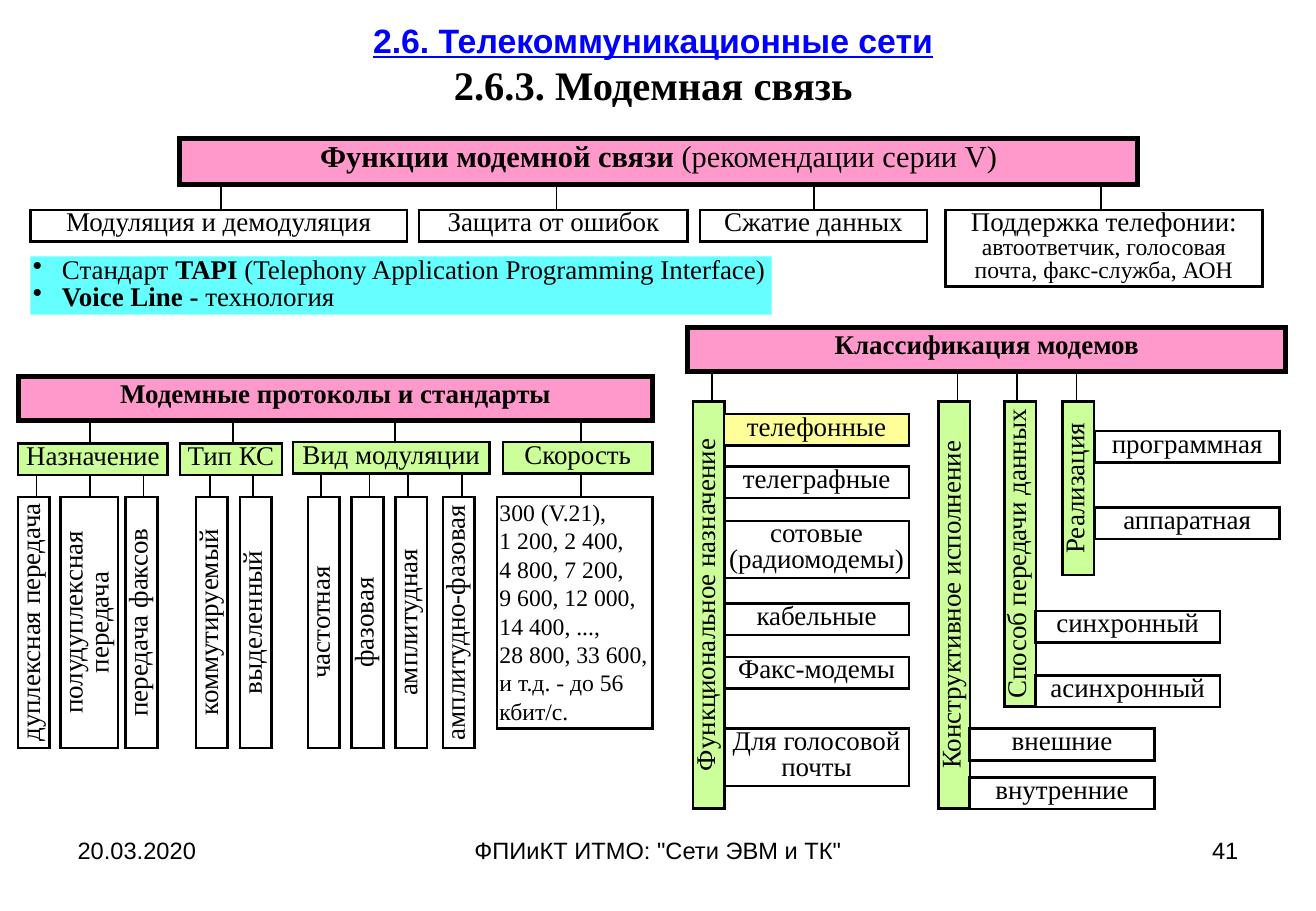
"""Build the slide on modem communication: functions, protocols and classification."""
import pptx
import pptx.dml.color
import pptx.enum.shapes
import pptx.enum.text
import pptx.util
from lxml import etree

GRID = pptx.util.Inches(0.1)
SERIF, SANS = "Times New Roman", "Arial"
PINK, GREEN, YELLOW, CYAN = "FF99CC", "CCFF99", "FFFF99", "66FFFF"
ROW = 2.6
DOUBLE_ROW = 4.7
LEFT, CENTER, RIGHT = (pptx.enum.text.PP_ALIGN.LEFT, pptx.enum.text.PP_ALIGN.CENTER,
                       pptx.enum.text.PP_ALIGN.RIGHT)
color = pptx.dml.color.RGBColor.from_string

presentation = pptx.Presentation()
presentation.slide_width = pptx.util.Inches(10.83)
presentation.slide_height = pptx.util.Inches(7.5)
slide = presentation.slides.add_slide(presentation.slide_layouts[5])


def write(frame, text, size=16, align=CENTER, spacing=0.8, font=SERIF):
    """Fill a frame line by line; text between asterisks is bold."""
    frame.word_wrap = True
    for number, line in enumerate(text.split("\n")):
        paragraph = frame.add_paragraph() if number else frame.paragraphs[0]
        paragraph.alignment = align
        paragraph.line_spacing = spacing
        for position, part in enumerate(line.split("*")):
            if part:
                run = paragraph.add_run()
                run.text = part
                run.font.name = font
                run.font.size = pptx.util.Pt(size)
                run.font.bold = position % 2 == 1
                run.font.color.rgb = color("000000")


def box(left, top, width, height, text, fill=None, edge=1.5, upright=False, **style):
    """Draw a rectangle at grid columns and rows, with upright text if asked."""
    center_x, center_y = left + width / 2, top + height / 2
    if upright:
        width, height = height, width
    shape = slide.shapes.add_shape(
        pptx.enum.shapes.MSO_SHAPE.RECTANGLE,
        int((center_x - width / 2) * GRID), int((center_y - height / 2) * GRID),
        int(width * GRID), int(height * GRID))
    shape.rotation = 270 if upright else 0
    shape.shadow.inherit = False
    if fill:
        shape.fill.solid()
        shape.fill.fore_color.rgb = color(fill)
    else:
        shape.fill.background()
    if edge:
        shape.line.color.rgb = color("000000")
        shape.line.width = pptx.util.Pt(edge)
        outline = shape._element.spPr.find(pptx.oxml.ns.qn("a:ln"))
        etree.SubElement(outline, pptx.oxml.ns.qn("a:miter")).set("lim", "800000")
    else:
        shape.line.fill.background()
    frame = shape.text_frame
    frame.vertical_anchor = pptx.enum.text.MSO_ANCHOR.TOP
    frame.auto_size = pptx.enum.text.MSO_AUTO_SIZE.SHAPE_TO_FIT_TEXT
    if edge < 3:
        frame.margin_left = frame.margin_right = pptx.util.Inches(0.02)
        frame.margin_top = frame.margin_bottom = pptx.util.Inches(0.01)
    write(frame, text, **style)
    return shape


title = slide.shapes.title
title.left, title.top = int(1.4 * GRID), int(0.6 * GRID)
title.width, title.height = int(104.7 * GRID), int(9.4 * GRID)
title.text_frame.auto_size = pptx.enum.text.MSO_AUTO_SIZE.NONE
title.text_frame.vertical_anchor = pptx.enum.text.MSO_ANCHOR.MIDDLE
write(title.text_frame, "*2.6. Телекоммуникационные сети*\n*2.6.3. Модемная связь*",
      size=24, spacing=1.0)
chapter = title.text_frame.paragraphs[0].runs[0].font
chapter.name = SANS
chapter.size = pptx.util.Pt(20)
chapter.underline = True
chapter.color.rgb = color("0000FF")

box(14.8, 11.4, 78.8, 3.8, "*Функции модемной связи *(рекомендации серии V)", PINK, 3, size=18)
box(56.6, 27, 49.2, 3.6, "*Классификация модемов*", PINK, 3)
box(1.5, 31, 52.2, 3.6, "*Модемные протоколы и стандарты*", PINK, 3)

for left, width, text in [(2.5, 31, "Модуляция и демодуляция"), (34.5, 22.1, "Защита от ошибок"),
                          (57.6, 18.7, "Сжатие данных")]:
    box(left, 17.3, width, ROW, text)
telephony = box(77.8, 17.3, 26.1, 6.3,
                "Поддержка телефонии:\nавтоответчик, голосовая почта, факс-служба, АОН")
telephony.text_frame.paragraphs[1].runs[0].font.size = pptx.util.Pt(14)

standards = box(2.5, 21.1, 61, 4.8,
                "Стандарт *TAPI *(Telephony Application Programming Interface)\n"
                "*Voice Line - *технология", CYAN, 0, align=LEFT, spacing=0.85)
for paragraph in standards.text_frame.paragraphs:
    properties = paragraph._p.get_or_add_pPr()
    properties.set("marL", str(int(2.4 * GRID)))
    properties.set("indent", str(int(-2.4 * GRID)))
    etree.SubElement(properties, pptx.oxml.ns.qn("a:buFontTx"))
    bullet = etree.SubElement(properties, pptx.oxml.ns.qn("a:buChar"))
    bullet.set("char", "•")

for left, height, text in [(57.05, 33.5, "Функциональное назначение"),
                           (77.25, 33.5, "Конструктивное исполнение"),
                           (82.65, 25.1, "Способ передачи данных"), (87.45, 14.3, "Реализация")]:
    box(left, 33.05, ROW, height, text, GREEN, upright=True)

modem_kinds = [
    (59.6, [(34.1, "телефонные"), (38.4, "телеграфные"), (42.9, "сотовые (радиомодемы)"),
            (49.7, "кабельные"), (54.1, "Факс-модемы"), (60, "Для голосовой почты")]),
    (79.8, [(60, "внешние"), (64, "внутренние")]),
    (85.2, [(50.3, "синхронный"), (55.6, "асинхронный")]),
    (90.1, [(35.5, "программная"), (41.8, "аппаратная")]),
]
for left, kinds in modem_kinds:
    for top, text in kinds:
        box(left, top, 15.2, DOUBLE_ROW if " " in text else ROW, text,
            YELLOW if text == "телефонные" else None)

for left, top, width, text in [(1.5, 36.5, 12.3, "Назначение"), (14.8, 36.5, 8.4, "Тип КС"),
                               (24.1, 36.4, 16.2, "Вид модуляции"), (41.4, 36.4, 12.3, "Скорость")]:
    box(left, top, width, ROW, text, GREEN)

for left, width, text in [(1.5, ROW, "дуплексная передача"),
                          (5, DOUBLE_ROW, "полудуплексная передача"),
                          (10.35, ROW, "передача факсов"), (16.15, ROW, "коммутируемый"),
                          (19.75, ROW, "выделенный"), (25.35, ROW, "частотная"),
                          (28.95, ROW, "фазовая"), (32.55, ROW, "амплитудная"),
                          (36.45, ROW, "амплитудно-фазовая")]:
    box(left, 40.9, width, 20.7, text, upright=True)
box(40.9, 40.9, 12.8, 19.1,
    "300 (V.21),\n1 200, 2 400,\n4 800, 7 200,\n9 600, 12 000,\n14 400, ...,\n"
    "28 800, 33 600,\nи т.д. - до 56 кбит/с.", size=14, align=LEFT, spacing=1.0)

stems = [
    (15.3, 17.3, [18.2, 45.8, 67, 90.6]),
    (30.6, 33.1, [58.6, 78.8, 83.7, 88.6]),
    (34.5, 36.5, [7.4, 19.2, 32.5, 47.8]),
    (39.1, 40.9, [3, 7.4, 11.8, 17.3, 20.8, 26.4, 30.4, 33.6, 38, 47.8]),
]
for top, bottom, columns in stems:
    for column in columns:
        stem = slide.shapes.add_connector(
            pptx.enum.shapes.MSO_CONNECTOR.STRAIGHT,
            int(column * GRID), int(bottom * GRID), int(column * GRID), int(top * GRID))
        stem.line.color.rgb = color("000000")
        stem.line.width = pptx.util.Pt(1)
        etree.SubElement(stem._element.spPr, pptx.oxml.ns.qn("a:effectLst"))

for left, width, align, text in [(5.4, 25.3, LEFT, "20.03.2020"),
                                 (37, 34.3, CENTER, 'ФПИиКТ ИТМО: "Сети ЭВМ и ТК"'),
                                 (77.6, 25.3, RIGHT, "41")]:
    footer = slide.shapes.add_textbox(int(left * GRID), int(68.3 * GRID),
                                      int(width * GRID), int(5.2 * GRID))
    write(footer.text_frame, text, size=14, align=align, spacing=1.0, font=SANS)

presentation.save("out.pptx")
